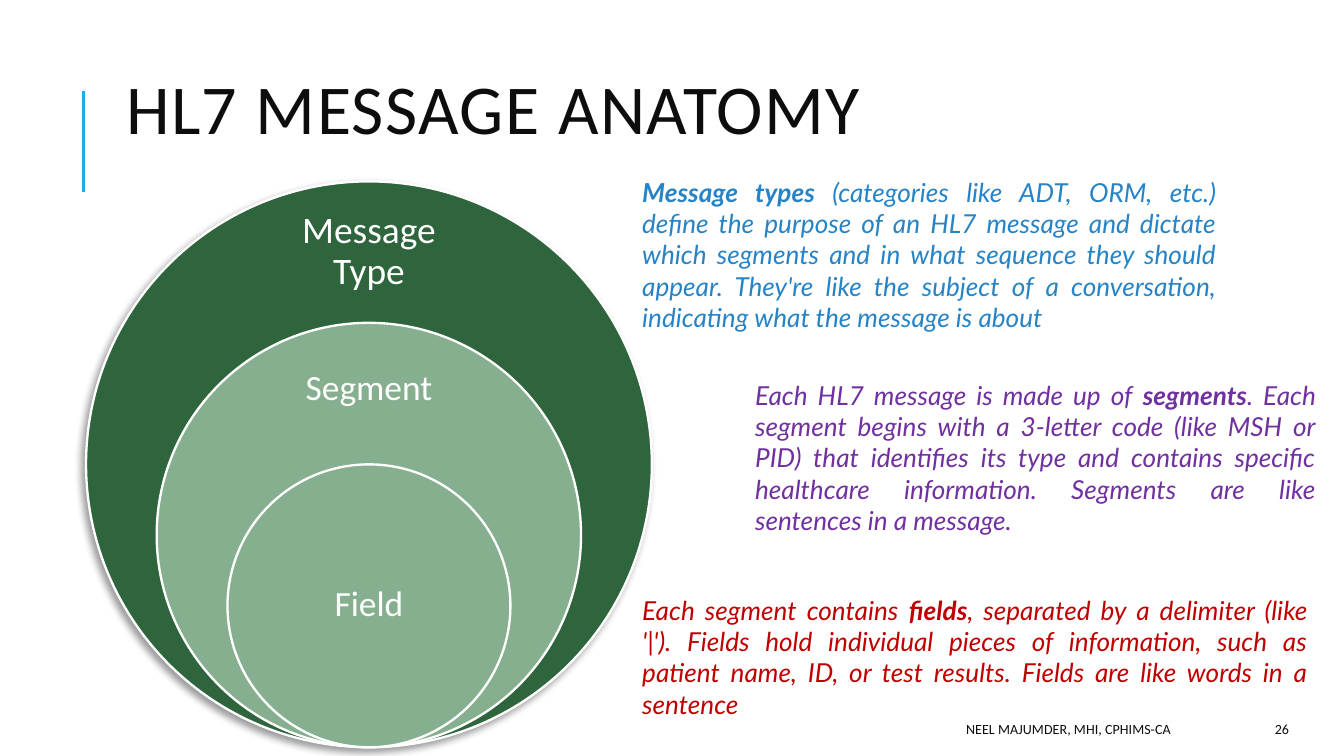
from lxml import etree
from pptx import Presentation
from pptx import util as u
from pptx.dml.color import RGBColor
from pptx.enum import shapes, text
from pptx.oxml import parse_xml
from pptx.oxml.ns import nsdecls, qn

INK = RGBColor(0x0D, 0x0D, 0x0D)
WHITE = RGBColor(0xFF, 0xFF, 0xFF)
SKY = RGBColor(0x1C, 0xAD, 0xE4)
FOREST = RGBColor(0x2E, 0x65, 0x3D)
SAGE = RGBColor(0x86, 0xAF, 0x8F)
BLUE = RGBColor(0x26, 0x83, 0xC6)
PURPLE = RGBColor(0x70, 0x30, 0xA0)
RED = RGBColor(0xC0, 0x00, 0x00)

deck = Presentation()
deck.slide_width, deck.slide_height = u.Inches(10), u.Inches(10 * 9 / 16)
slide = deck.slides.add_slide(deck.slide_layouts[6])


def write(words, box, size, color, font="Calibri", align="LEFT", anchor="MIDDLE",
          italic=False, lead=1.0, inset=None, track=0):
    frame = slide.shapes.add_textbox(*map(u.Inches, box)).text_frame
    frame.word_wrap = True
    frame.vertical_anchor = text.MSO_ANCHOR[anchor]
    if inset is not None:
        frame.margin_left = frame.margin_right = u.Inches(inset)
        frame.margin_top = frame.margin_bottom = u.Inches(inset)
    para = frame.paragraphs[0]
    para.alignment = text.PP_ALIGN[align]
    para.line_spacing = lead
    for i, part in enumerate(words.split("*")):
        if part:
            run = para.add_run()
            run.text = part
            run.font.name, run.font.size = font, u.Pt(size)
            run.font.color.rgb = color
            run.font.italic, run.font.bold = italic, i % 2 == 1
            if track:
                run.font._element.set("spc", str(track))


rule = slide.shapes.add_connector(
    shapes.MSO_CONNECTOR.STRAIGHT, *map(u.Inches, (0.62, 1.43, 0.62, 0.68)))
rule.line.color.rgb = SKY
rule.line.width = u.Pt(1.5)
etree.SubElement(rule._element.spPr, qn("a:effectLst"))

write("HL7 MESSAGE ANATOMY", (0.84, 0.48, 7.97, 0.74), 37.5, INK, lead=0.8, track=75)

mid, base, full = 2.745, 5.56, 4.21
rings = [
    ("Message Type", 1, FOREST, 20, 1.56, 0.63, 0.16),
    ("Segment", 0.75, SAGE, 19, 2.6, 0.59, 0.15),
    ("Field", 0.5, SAGE, 19, 3.98, 1.05, 0.15),
]
rings = [(*ring, mid - full * ring[1] / 2, full * ring[1]) for ring in rings]
for name, scale, fill, size, top, height, inset, left, span in rings:
    ring = slide.shapes.add_shape(
        shapes.MSO_SHAPE.OVAL, *map(u.Inches, (left, base - span, span, span)))
    ring.shadow.inherit = False
    ring.fill.solid()
    ring.fill.fore_color.rgb = fill
    ring.line.color.rgb = WHITE
    ring.line.width = u.Pt(1.25)
    if scale == 1:
        ring._element.spPr.find(qn("a:effectLst")).append(parse_xml(
            f'<a:outerShdw {nsdecls("a")} blurRad="{u.Pt(4)}" dist="{u.Pt(3)}" '
            'dir="8100000" rotWithShape="0"><a:srgbClr val="000000">'
            '<a:alpha val="40000"/></a:srgbClr></a:outerShdw>'))
    write(name, (mid - 0.74, top, 1.48, height), size, WHITE,
          align="CENTER", lead=0.9, inset=inset)

notes = [
    ("*Message types *(categories like ADT, ORM, etc.) define the purpose of an HL7 "
     "message and dictate which segments and in what sequence they should appear. "
     "They're like the subject of a conversation, indicating what the message is about",
     (4.68, 1.26, 4.47, 1.28), BLUE),
    ("Each HL7 message is made up of *segments*. Each segment begins with a 3-letter "
     "code (like MSH or PID) that identifies its type and contains specific healthcare "
     "information. Segments are like sentences in a message.",
     (5.52, 2.77, 4.37, 1.28), PURPLE),
    ("Each segment contains *fields*, separated by a delimiter (like '|'). Fields hold "
     "individual pieces of information, such as patient name, ID, or test results. "
     "Fields are like words in a sentence",
     (4.68, 4.37, 5.15, 1.04), RED),
]
for words, box, color in notes:
    write(words, box, 14, color, font="Lato", align="JUSTIFY", anchor="TOP", italic=True)

write("NEEL MAJUMDER, MHI, CPHIMS-CA", (3.97, 5.31, 4.84, 0.23), 7.5, INK, align="RIGHT")
write("26", (8.89, 5.31, 0.8, 0.23), 7.5, INK, align="RIGHT")

deck.save("out.pptx")
